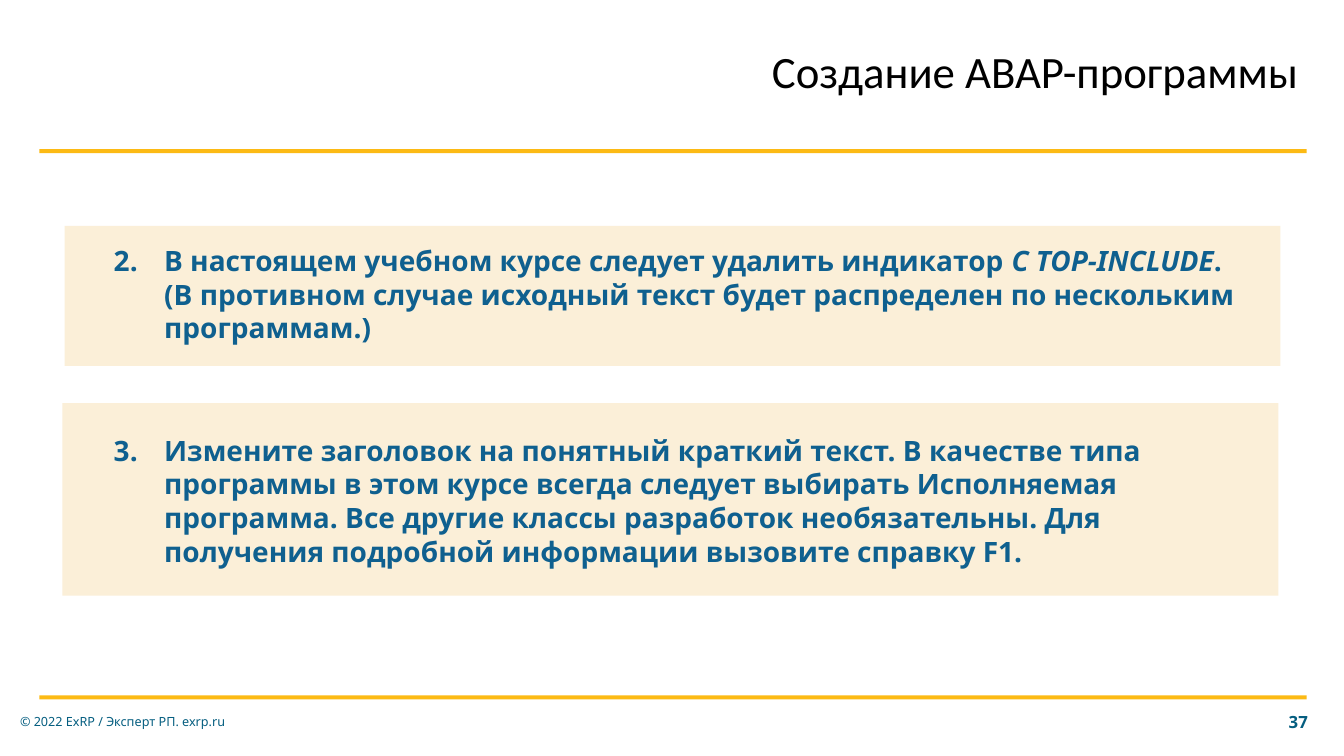
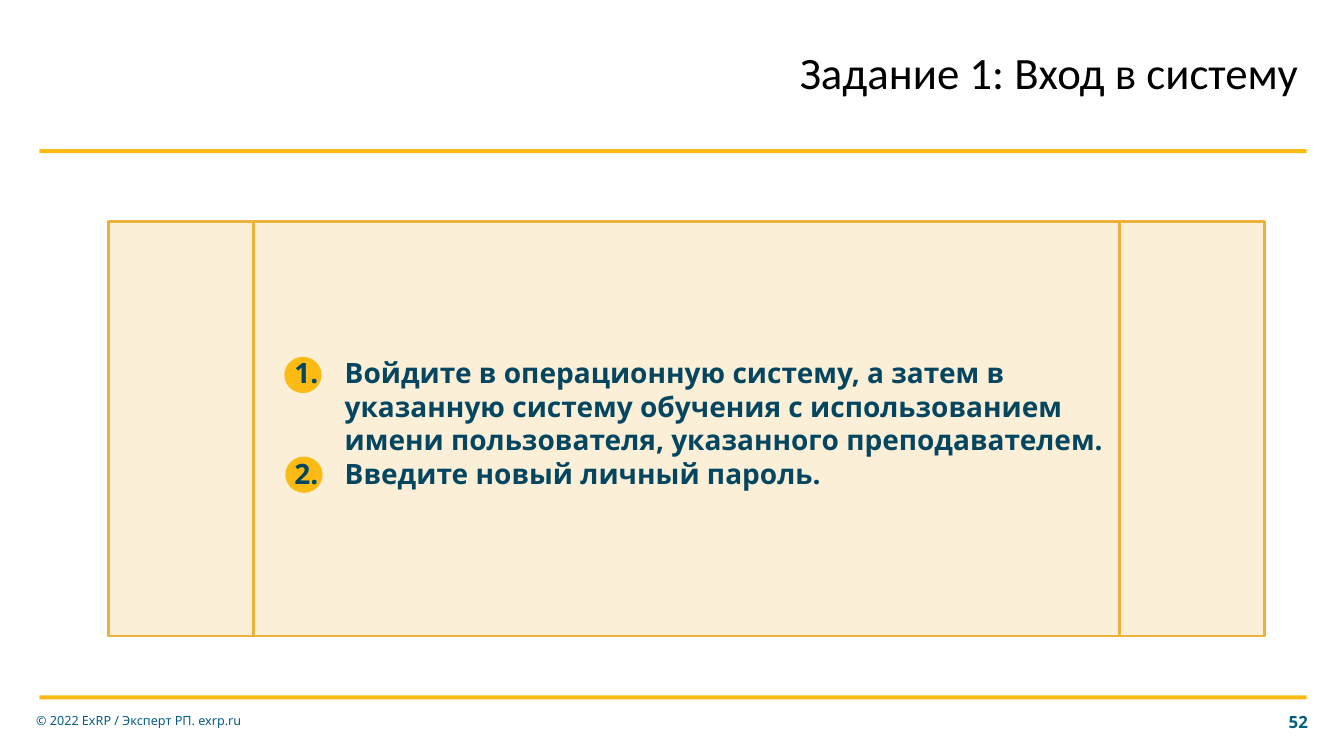
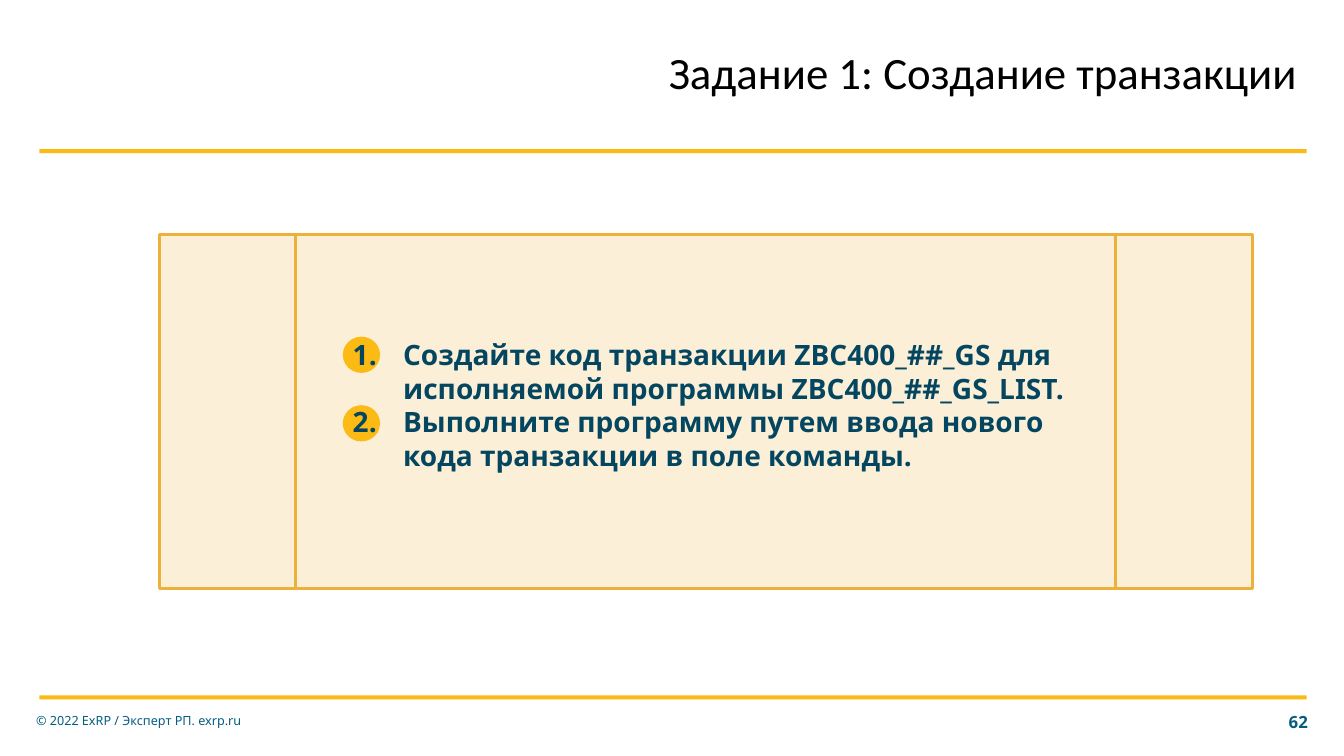
from pptx import Presentation
from pptx.dml.color import RGBColor
from pptx.enum.shapes import MSO_SHAPE as Shape
from pptx.enum.text import MSO_ANCHOR as Anchor, PP_ALIGN as Align
from pptx.oxml.ns import qn
from pptx.util import Pt
from lxml.etree import SubElement

PX = 9144  # EMU per px, 100 px to the inch
GOLD = RGBColor(0xFC, 0xBA, 0x14)
EDGE = RGBColor(0xEC, 0xB1, 0x3A)
CREAM = RGBColor(0xFB, 0xEF, 0xD8)
BLACK = RGBColor(0, 0, 0)
TEAL = RGBColor(0x05, 0x5E, 0x80)
BLUE = RGBColor(0x0F, 0x60, 0x8F)
NAVY = RGBColor(0x04, 0x46, 0x60)
BODY = "Noto Sans"
HEAD = "Calibri"
CREDIT = "© 2022 ExRP / Эксперт РП. exrp.ru"


def emu(*px):
    return [n * PX for n in px]


def number(para, start):
    """Give the paragraph a hanging automatic number."""
    props = para._p.get_or_add_pPr()
    indent = str(50 * PX)
    props.set("marL", indent)
    props.set("indent", "-" + indent)
    mark = SubElement(props, qn("a:buAutoNum"))
    mark.set("type", "arabicPeriod")
    if start > 1:
        mark.set("startAt", str(start))


class Deck:
    def __init__(self):
        self.prs = Presentation()
        self.prs.slide_width, self.prs.slide_height = emu(1333, 750)
        self.slide = None

    def start(self, title, box, page, foot):
        """Open a slide with its title, gold rules, credit and page number."""
        self.slide = self.prs.slides.add_slide(self.prs.slide_layouts[5])
        for top in (690, 148):
            self.shape(Shape.RECTANGLE, (39, top, 1257, 4), GOLD)
        self.text((1242, 696, 65, 40), page, 12, TEAL, True, Align.RIGHT)
        self.text((*foot, 285, 40), CREDIT, 9, TEAL)
        head = self.slide.shapes.title
        head.left, head.top, head.width, head.height = emu(*box)
        frame = self.frame(head, (0, 0, 10, 5))
        frame.text = title
        para = frame.paragraphs[0]
        para.alignment = Align.RIGHT
        para.line_spacing = 0.9
        self.style(para.runs[0], HEAD, 32, BLACK)

    def frame(self, shape, inset):
        frame = shape.text_frame
        frame.word_wrap = True
        frame.vertical_anchor = Anchor.MIDDLE
        (frame.margin_left, frame.margin_top,
         frame.margin_right, frame.margin_bottom) = emu(*inset)
        return frame

    def style(self, run, face, size, color, bold=False):
        font = run.font
        font.name, font.size, font.bold = face, Pt(size), bold
        font.color.rgb = color

    def shape(self, kind, box, fill, line=None):
        shape = self.slide.shapes.add_shape(kind, *emu(*box))
        shape.shadow.inherit = False
        shape.fill.solid()
        shape.fill.fore_color.rgb = fill
        if line is None:
            shape.line.fill.background()
        else:
            shape.line.color.rgb = line
            shape.line.width = Pt(2)

    def text(self, box, text, size, color, bold=False, align=Align.LEFT):
        frame = self.frame(self.slide.shapes.add_textbox(*emu(*box)),
                           (10, 5, 10, 5))
        frame.text = text
        para = frame.paragraphs[0]
        para.alignment = align
        self.style(para.runs[0], BODY, size, color, bold)

    def steps(self, box, items, color, start=1):
        """Numbered steps; text between asterisks is italic."""
        frame = self.frame(self.slide.shapes.add_textbox(*emu(*box)),
                           (10, 5, 0, 5))
        frame.text = "\n".join(items)
        for para, item in zip(frame.paragraphs, items):
            number(para, start)
            parts = item.split("*")
            para.runs[0].text = parts[0]
            for part in parts[1:]:
                para.add_run().text = part
            for i, run in enumerate(para.runs):
                self.style(run, BODY, 20, color, True)
                run.font.italic = i % 2 == 1

    def task(self, panel, dots, box, items):
        """Framed panel with a gold dot behind each step number."""
        self.shape(Shape.FLOWCHART_PREDEFINED_PROCESS, panel, CREAM, EDGE)
        for left, top in dots:
            self.shape(Shape.OVAL, (left, top, 37, 36), GOLD)
        self.steps(box, items, NAVY)


def main():
    deck = Deck()

    deck.start("Создание ABAP-программы", (403, 48, 895, 55), "37", (10, 696))
    notes = [
        ((64, 224, 1206, 139), (103, 236, 1127, 111),
         "В настоящем учебном курсе следует удалить индикатор "
         "*С TOP-INCLUDE*. (В противном случае исходный текст будет "
         "распределен по нескольким программам.)"),
        ((62, 400, 1206, 191), (103, 424, 1127, 145),
         "Измените заголовок на понятный краткий текст. В качестве типа "
         "программы в этом курсе всегда следует выбирать Исполняемая "
         "программа. Все другие классы разработок необязательны. Для "
         "получения подробной информации вызовите справку F1."),
    ]
    for step, (panel, box, note) in enumerate(notes, 2):
        deck.shape(Shape.RECTANGLE, panel, CREAM)
        deck.steps(box, [note], BLUE, step)

    deck.start("Задание 1: Вход в систему", (566, 49, 732, 55), "52",
               (26, 695))
    deck.task((108, 220, 1146, 411), [(282, 354), (283, 453)],
              (282, 347, 838, 145),
              ["Войдите в операционную систему, а затем в указанную систему "
               "обучения с использованием имени пользователя, указанного "
               "преподавателем.",
               "Введите новый личный пароль."])

    deck.start("Задание 1: Создание транзакции", (446, 49, 851, 55), "62",
               (26, 695))
    deck.task((158, 233, 1084, 351), [(340, 334), (340, 402)],
              (340, 329, 759, 145),
              ["Создайте код транзакции ZBC400_##_GS для исполняемой "
               "программы ZBC400_##_GS_LIST.",
               "Выполните программу путем ввода нового кода транзакции "
               "в поле команды."])

    deck.prs.save("out.pptx")


if __name__ == "__main__":
    main()
